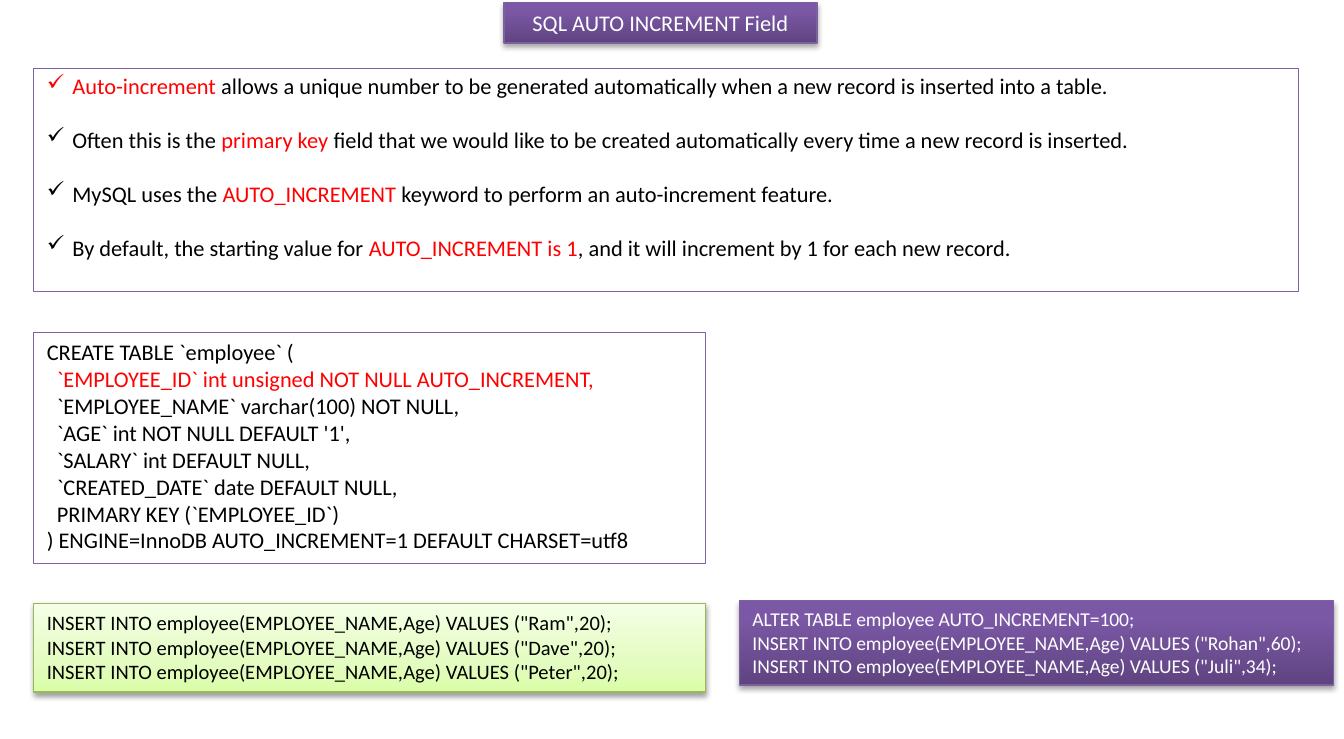
import lxml.etree
import pptx
import pptx.dml.color
import pptx.enum.shapes
import pptx.enum.text
import pptx.oxml.ns
import pptx.util

PX = 9144
POINT = 12700
COLORS = {
    "white": "FFFFFF", "black": "000000", "red": "FF0000",
    "frame": "8064A2", "purple_line": "7D60A0", "green_line": "98B955",
}
PURPLE = {
    "stops": [(0, "5F4480"), (80, "7B58A6"), (100, "7C57A8")],
    "line": "purple_line", "shadow": (35, 1.8),
}
GREEN = {
    "stops": [(0, "DAFDA7"), (35, "E4FCC2"), (100, "F5FFE7")],
    "line": "green_line", "shadow": (38, 1.6),
}
FACTS = [
    [("Auto-increment", "red"),
     (" allows a unique number to be generated automatically when a new record is inserted into a table.", "black")],
    [("Often this is the ", "black"), ("primary key ", "red"),
     ("field that we would like to be created automatically every time a new record is inserted.", "black")],
    [("MySQL uses the ", "black"), ("AUTO_INCREMENT", "red"),
     (" keyword to perform an auto-increment feature.", "black")],
    [("By default, the starting value for ", "black"), ("AUTO_INCREMENT is 1", "red"),
     (", and it will increment by 1 for each new record.", "black")],
]
CREATE_TABLE = """CREATE TABLE `employee` (
  `EMPLOYEE_ID` int unsigned NOT NULL AUTO_INCREMENT,
  `EMPLOYEE_NAME` varchar(100) NOT NULL,
  `AGE` int NOT NULL DEFAULT '1',
  `SALARY` int DEFAULT NULL,
  `CREATED_DATE` date DEFAULT NULL,
  PRIMARY KEY (`EMPLOYEE_ID`)
) ENGINE=InnoDB AUTO_INCREMENT=1 DEFAULT CHARSET=utf8"""
FIRST_INSERTS = """INSERT INTO employee(EMPLOYEE_NAME,Age) VALUES ("Ram",20);
INSERT INTO employee(EMPLOYEE_NAME,Age) VALUES ("Dave",20);
INSERT INTO employee(EMPLOYEE_NAME,Age) VALUES ("Peter",20);"""
RESTART_AT_100 = """ALTER TABLE employee AUTO_INCREMENT=100;
INSERT INTO employee(EMPLOYEE_NAME,Age) VALUES ("Rohan",60);
INSERT INTO employee(EMPLOYEE_NAME,Age) VALUES ("Juli",34);"""


def rgb(name):
    """Return the named colour."""
    return pptx.dml.color.RGBColor.from_string(COLORS[name])


def add_element(parent, tag, **attributes):
    """Append a DrawingML child with the given attributes."""
    values = {key: str(value) for key, value in attributes.items()}
    return lxml.etree.SubElement(parent, pptx.oxml.ns.qn(tag), values)


def add_rectangle(page, box, line, line_width):
    """Add a white outlined rectangle that holds top-anchored text."""
    left, top, width, height = (length * PX for length in box)
    shape = page.shapes.add_shape(
        pptx.enum.shapes.MSO_SHAPE.RECTANGLE, left, top, width, height)
    shape.shadow.inherit = False
    shape.fill.solid()
    shape.fill.fore_color.rgb = rgb("white")
    shape.line.color.rgb = rgb(line)
    shape.line.width = pptx.util.Pt(line_width)
    shape.text_frame.word_wrap = True
    shape.text_frame.vertical_anchor = pptx.enum.text.MSO_ANCHOR.TOP
    return shape


def add_glossy(page, box, style):
    """Add a rectangle with an upward gradient and a shadow below."""
    shape = add_rectangle(page, box, style["line"], 0.75)
    shape.fill.gradient()
    shape.fill.gradient_angle = 90
    properties = shape._element.spPr
    stops = properties.find(".//" + pptx.oxml.ns.qn("a:gsLst"))
    stops.clear()
    for position, color in style["stops"]:
        stop = add_element(stops, "a:gs", pos=position * 1000)
        add_element(stop, "a:srgbClr", val=color)
    alpha, distance = style["shadow"]
    shadow = add_element(
        properties.find(pptx.oxml.ns.qn("a:effectLst")), "a:outerShdw",
        blurRad=int(3.1 * POINT), dist=int(distance * POINT), dir=5400000, rotWithShape=0)
    color = add_element(shadow, "a:srgbClr", val=COLORS["black"])
    add_element(color, "a:alpha", val=alpha * 1000)
    return shape


def write_text(frame, lines, size=12, align="LEFT", bullet=None, gap=0):
    """Write lines of (text, colour) spans, one paragraph each."""
    for index, spans in enumerate(lines):
        para = frame.paragraphs[0] if index == 0 else frame.add_paragraph()
        para.alignment = getattr(pptx.enum.text.PP_ALIGN, align)
        if index and gap:
            para.space_before = pptx.util.Pt(gap)
        if bullet:
            properties = para._p.get_or_add_pPr()
            properties.set("marL", str(19 * PX))
            properties.set("indent", str(-19 * PX))
            add_element(properties, "a:buChar", char=bullet)
        for text, color in spans:
            span = para.add_run()
            span.text = text
            span.font.name = "Calibri"
            span.font.size = pptx.util.Pt(size)
            span.font.color.rgb = rgb(color)


def add_title(page, box):
    """Add the heading plate."""
    plate = add_glossy(page, box, PURPLE)
    write_text(plate.text_frame, [[("SQL AUTO INCREMENT Field", "white")]], align="CENTER")


def add_facts(page, box):
    """Add the framed list of check-marked facts."""
    frame = add_rectangle(page, box, "frame", 0.25).text_frame
    frame.margin_top = 3 * PX
    write_text(frame, FACTS, bullet="✓", gap=14.4)


def add_definition(page, box):
    """Add the table definition with its key column in red."""
    frame = add_rectangle(page, box, "frame", 0.25).text_frame
    lines = [[(line, "red" if line.startswith("  `EMPLOYEE_ID`") else "black")]
             for line in CREATE_TABLE.splitlines()]
    write_text(frame, lines)


def add_statements(page, box, code, style, size, color):
    """Add a glossy plate of SQL statements."""
    plate = add_glossy(page, box, style)
    write_text(plate.text_frame, [[(line, color)] for line in code.splitlines()], size=size)


def main():
    """Build the slide and save the deck."""
    deck = pptx.Presentation()
    deck.slide_width, deck.slide_height = 1000 * PX, 550 * PX
    page = deck.slides.add_slide(deck.slide_layouts[6])
    add_title(page, (375, 2, 233, 30))
    add_facts(page, (25, 51, 941, 166))
    add_definition(page, (25, 247, 500, 172))
    add_statements(page, (25, 449, 500, 66), FIRST_INSERTS, GREEN, 11, "black")
    add_statements(page, (550, 447, 442, 63), RESTART_AT_100, PURPLE, 10.5, "white")
    deck.save("out.pptx")


if __name__ == "__main__":
    main()
